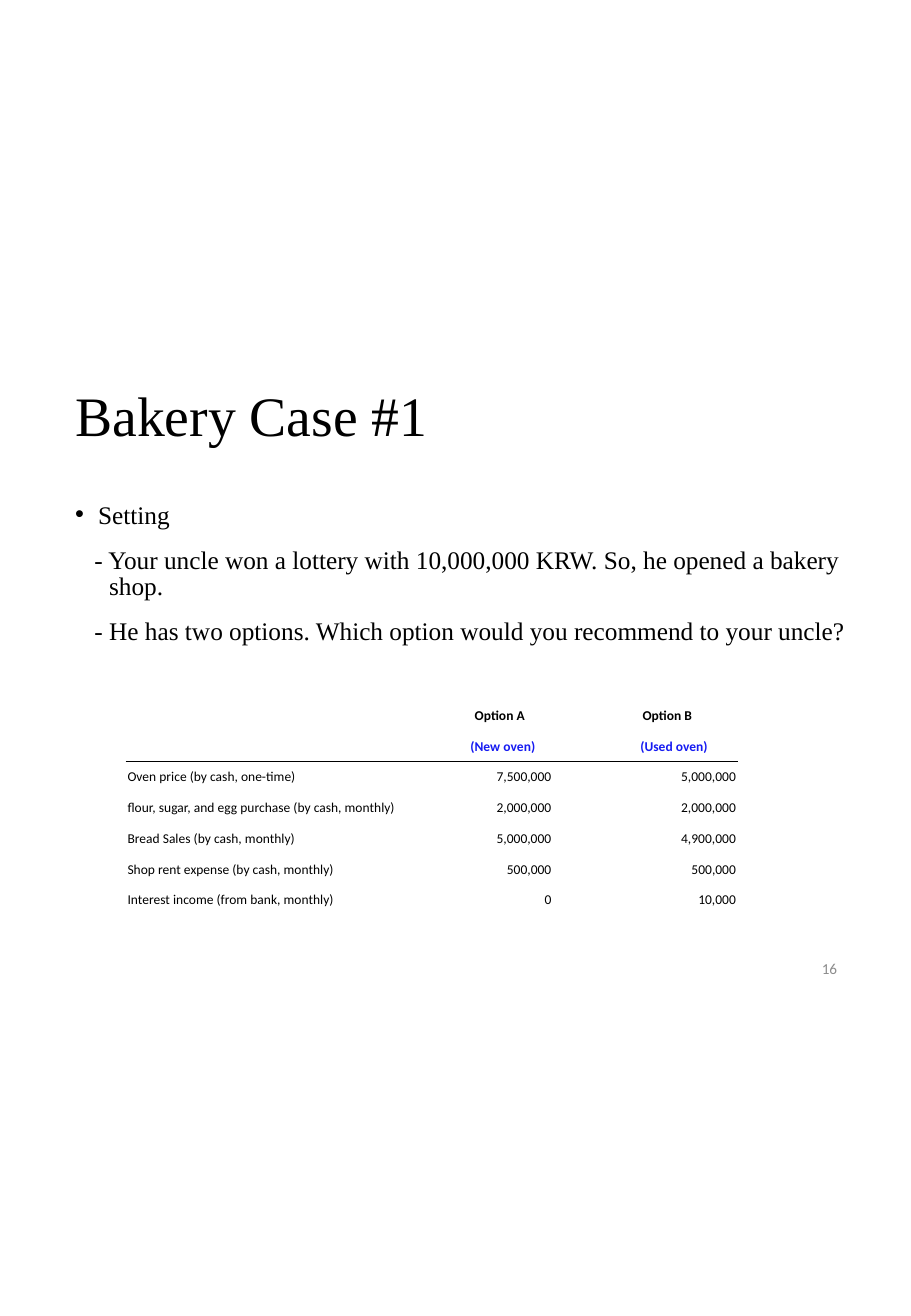
from lxml.etree import SubElement
from pptx import Presentation
from pptx.dml.color import RGBColor
from pptx.enum.text import MSO_ANCHOR, MSO_AUTO_SIZE, PP_ALIGN
from pptx.oxml.ns import qn
from pptx.util import Inches, Pt

COLORS = {"text": "000000", "accent": "161BF2", "number": "8C8C8C", "white": "FFFFFF"}
SERIF, SANS = "Times New Roman", "Calibri"


def format_font(font, name, size, color, bold=False):
    for attribute, value in {"name": name, "size": Pt(size), "bold": bold}.items():
        setattr(font, attribute, value)
    font.color.rgb = RGBColor.from_string(COLORS[color])


def add_border(cell, side, color):
    """Draw one side (L, R, T or B) of a table cell as a thin line."""
    properties = cell._tc.get_or_add_tcPr()
    line = SubElement(properties, qn(f"a:ln{side}"), w=str(Pt(1)))
    fill = SubElement(line, qn("a:solidFill"))
    SubElement(fill, qn("a:srgbClr"), val=COLORS[color])


presentation = Presentation()
presentation.slide_width = Inches(7.5)
presentation.slide_height = Inches(10.83)
slide = presentation.slides.add_slide(presentation.slide_layouts[5])

# Title
title = slide.shapes.title
title.left, title.top, title.width, title.height = map(Inches, (0.52, 2.9, 6.65, 1.09))
title.text_frame.auto_size = MSO_AUTO_SIZE.NONE
title.text_frame.vertical_anchor = MSO_ANCHOR.MIDDLE
paragraph = title.text_frame.paragraphs[0]
paragraph.alignment = PP_ALIGN.LEFT
paragraph.line_spacing = 0.9
run = paragraph.add_run()
run.text = "Bakery Case #1"
format_font(run.font, SERIF, 33, "text")

# Setting: text, left margin, first-line indent, bullet
setting = [
    ("Setting", 0.19, -0.19, "•"),
    ("- Your uncle won a lottery with 10,000,000 KRW. So, he opened a bakery shop.",
     0.28, -0.12, None),
    ("- He has two options. Which option would you recommend to your uncle?",
     0.28, -0.12, None),
]
body = slide.shapes.add_textbox(*map(Inches, (0.52, 4.1, 6.9, 1.5)))
body.text_frame.word_wrap = True
for index, (text, margin, indent, bullet) in enumerate(setting):
    paragraph = body.text_frame.paragraphs[0] if index == 0 else body.text_frame.add_paragraph()
    paragraph.line_spacing = Pt(15)
    paragraph.space_before = Pt(7.5 if index else 0)
    paragraph.space_after = Pt(4.5)
    properties = paragraph._p.get_or_add_pPr()
    properties.set("marL", str(Inches(margin)))
    properties.set("indent", str(Inches(indent)))
    if bullet:
        SubElement(properties, qn("a:buFont"), typeface="Arial")
        SubElement(properties, qn("a:buChar"), char=bullet)
    run = paragraph.add_run()
    run.text = text
    format_font(run.font, SERIF, 15, "text")

# Comparison of the two options
rows = [
    ("", "Option A", "Option B"),
    ("", "(New oven)", "(Used oven)"),
    ("Oven price (by cash, one-time)", "7,500,000", "5,000,000"),
    ("flour, sugar, and egg purchase (by cash, monthly)", "2,000,000", "2,000,000"),
    ("Bread Sales (by cash, monthly)", "5,000,000", "4,900,000"),
    ("Shop rent expense (by cash, monthly)", "500,000", "500,000"),
    ("Interest income (from bank, monthly)", "0", "10,000"),
]
column_widths = (2.39, 1.12, 1.52)
header_rows = 2
header_margins = [(0.01, 0.26, 0.38), (0.01, 0.31, 0.49)]
table = slide.shapes.add_table(
    len(rows), len(column_widths), *map(Inches, (1.04, 5.76, 5.03, 1.77))).table
table.first_row = table.horz_banding = False
for column, width in zip(table.columns, column_widths):
    column.width = Inches(width)
for row_index, values in enumerate(rows):
    is_header = row_index < header_rows
    table.rows[row_index].height = Inches(1.77 / len(rows))
    for column_index, value in enumerate(values):
        cell = table.cell(row_index, column_index)
        left = header_margins[row_index][column_index] if is_header else 0.01
        cell.margin_left = Inches(left)
        cell.margin_right = cell.margin_top = Inches(0.01)
        cell.margin_bottom = 0
        cell.vertical_anchor = MSO_ANCHOR.MIDDLE
        for side in "LRTB":
            is_rule = (row_index, side) in ((header_rows - 1, "B"), (header_rows, "T"))
            add_border(cell, side, "text" if is_rule else "white")
        cell.fill.solid()
        cell.fill.fore_color.rgb = RGBColor.from_string(COLORS["white"])
        paragraph = cell.text_frame.paragraphs[0]
        if not value:
            SubElement(paragraph._p, qn("a:endParaRPr"), sz="800")
            continue
        if is_header:
            paragraph.alignment = PP_ALIGN.CENTER
        else:
            paragraph.alignment = PP_ALIGN.RIGHT if column_index else PP_ALIGN.LEFT
        run = paragraph.add_run()
        run.text = value
        format_font(run.font, SANS, 8, "accent" if row_index == 1 else "text", is_header)

# Page number
number = slide.shapes.add_textbox(*map(Inches, (5.3, 7.82, 1.69, 0.3)))
number.text_frame.word_wrap = True
number.text_frame.vertical_anchor = MSO_ANCHOR.MIDDLE
paragraph = number.text_frame.paragraphs[0]
paragraph.alignment = PP_ALIGN.RIGHT
run = paragraph.add_run()
run.text = "16"
format_font(run.font, SANS, 9, "number")

presentation.save("out.pptx")
